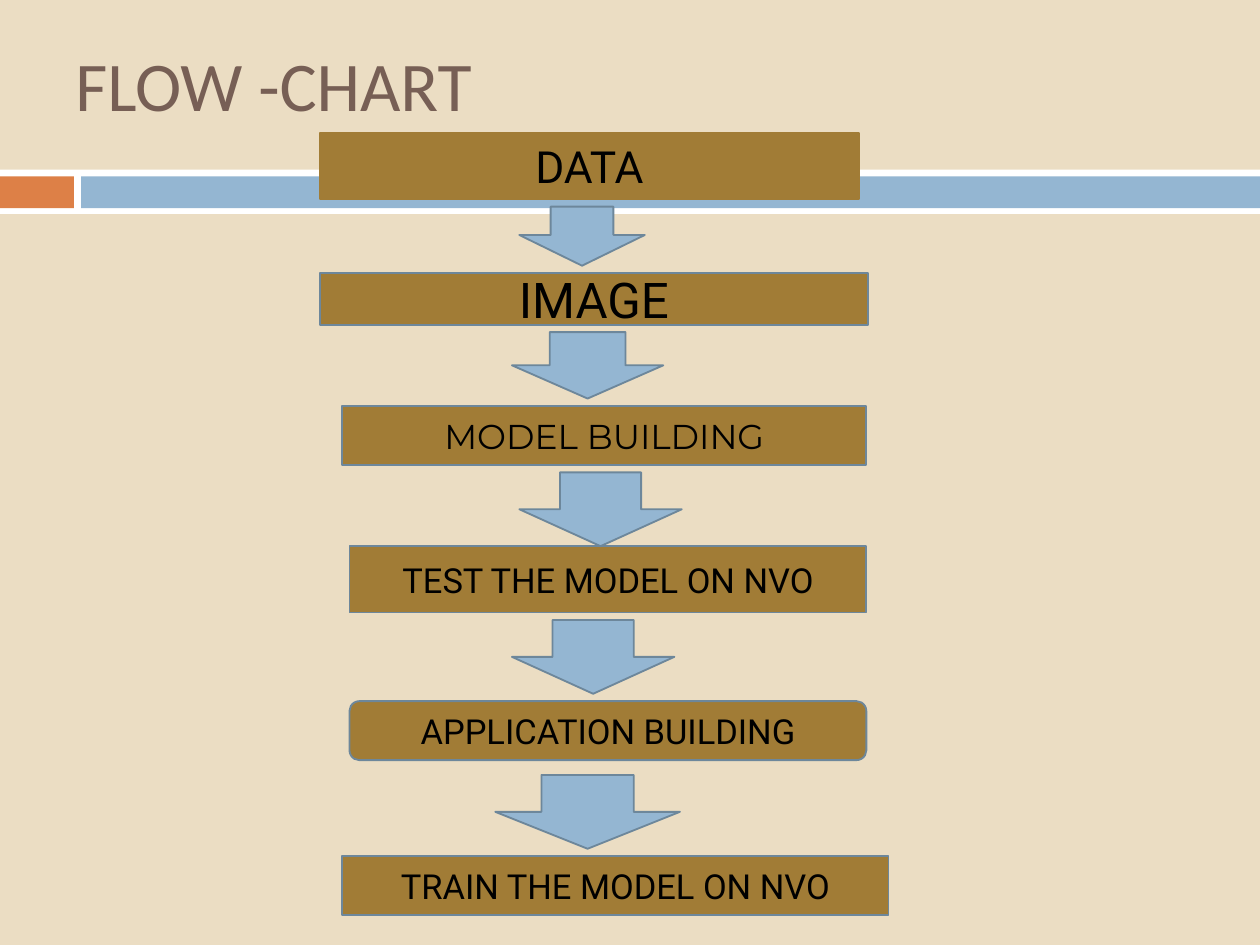
"""Build a one-page flow chart of six steps joined by block arrows."""
from dataclasses import dataclass

from pptx import Presentation
from pptx.dml.color import RGBColor
from pptx.enum.shapes import MSO_SHAPE
from pptx.enum.text import MSO_ANCHOR, PP_ALIGN
from pptx.util import Inches, Pt

RECTANGLE = MSO_SHAPE.RECTANGLE
ROUNDED = MSO_SHAPE.ROUNDED_RECTANGLE
DOWN_ARROW = MSO_SHAPE.DOWN_ARROW
MIDDLE = MSO_ANCHOR.MIDDLE
CENTER = PP_ALIGN.CENTER

SAND = RGBColor(0xEB, 0xDD, 0xC3)
WHITE = RGBColor(0xFF, 0xFF, 0xFF)
ORANGE = RGBColor(0xDD, 0x80, 0x47)
BLUE = RGBColor(0x94, 0xB6, 0xD2)
SLATE = RGBColor(0x6D, 0x87, 0x9B)
BRONZE = RGBColor(0xA1, 0x7C, 0x36)
BROWN = RGBColor(0x77, 0x5F, 0x55)
BLACK = RGBColor(0, 0, 0)

PAGE_WIDTH, PAGE_HEIGHT = 14.22, 10.67
CELLS_PER_INCH = 12
PAGE_COLUMNS = PAGE_WIDTH * CELLS_PER_INCH
CHART_OFFSET = 0.33


@dataclass(frozen=True)
class Area:
    column: float
    row: float
    columns: float
    rows: float


@dataclass(frozen=True)
class Band:
    area: Area
    color: RGBColor


@dataclass(frozen=True)
class Step:
    text: str
    area: Area
    size: int = 28
    font: str = "Roboto"
    outline: RGBColor = SLATE
    kind: MSO_SHAPE = RECTANGLE


@dataclass(frozen=True)
class Arrow:
    area: Area
    head: float = 0.5


TITLE_AREA = Area(4.2, 6.5, 82.2, 9.7)

BANDS = [
    Band(Area(0, 23, PAGE_COLUMNS, 6), WHITE),
    Band(Area(0, 23.9, 10, 4.3), ORANGE),
    Band(Area(11, 23.9, PAGE_COLUMNS - 11, 4.3), BLUE),
]

STEPS = [
    Step("DATA", Area(43, 18, 73, 9), 36, outline=BRONZE),
    Step("IMAGE", Area(43, 37, 74.2, 7), 40),
    Step("MODEL BUILDING", Area(46, 55, 71, 8), font="Montserrat"),
    Step("TEST THE MODEL ON NVO", Area(47, 74, 70, 9)),
    Step("APPLICATION BUILDING", Area(47, 95, 70, 8), kind=ROUNDED),
    Step("TRAIN THE MODEL ON NVO", Area(46, 116, 74, 8)),
]

ARROWS = [
    Arrow(Area(70, 28, 17, 8), 0.52),
    Arrow(Area(69, 45, 20.5, 9)),
    Arrow(Area(70, 64, 22, 10)),
    Arrow(Area(69, 84, 22, 10)),
    Arrow(Area(66.75, 105, 25, 10)),
]


def place(area: Area, offset: float = 0) -> list[int]:
    cells = (area.column + offset, area.row, area.columns, area.rows)
    return [Inches(cell / CELLS_PER_INCH) for cell in cells]


def add_block(page, kind: MSO_SHAPE, bounds: list[int], fill: RGBColor,
              outline: RGBColor | None = None):
    block = page.shapes.add_shape(kind, *bounds)
    block.shadow.inherit = False
    block.fill.solid()
    block.fill.fore_color.rgb = fill
    if outline is None:
        block.line.fill.background()
    else:
        block.line.color.rgb = outline
        block.line.width = Pt(1.5)
    return block


def write(frame, text: str, font: str, size: float, color: RGBColor) -> None:
    frame.word_wrap = True
    frame.vertical_anchor = MIDDLE
    para = frame.paragraphs[0]
    para.text = text
    para.font.name = font
    para.font.size = Pt(size)
    para.font.color.rgb = color


def add_title(page) -> None:
    frame = page.shapes.add_textbox(*place(TITLE_AREA)).text_frame
    frame.margin_left = Inches(0.5)
    write(frame, "FLOW -CHART", "Calibri", 56.7, BROWN)


def add_step(page, step: Step) -> None:
    bounds = place(step.area, CHART_OFFSET)
    block = add_block(page, step.kind, bounds, BRONZE, step.outline)
    write(block.text_frame, step.text, step.font, step.size, BLACK)
    block.text_frame.paragraphs[0].alignment = CENTER


def add_arrow(page, arrow: Arrow) -> None:
    bounds = place(arrow.area, CHART_OFFSET)
    block = add_block(page, DOWN_ARROW, bounds, BLUE, SLATE)
    block.adjustments[1] = arrow.head


def main() -> None:
    deck = Presentation()
    deck.slide_width = Inches(PAGE_WIDTH)
    deck.slide_height = Inches(PAGE_HEIGHT)
    page = deck.slides.add_slide(deck.slide_layouts[6])
    page.background.fill.solid()
    page.background.fill.fore_color.rgb = SAND
    for band in BANDS:
        add_block(page, RECTANGLE, place(band.area), band.color)
    add_title(page)
    for step in STEPS:
        add_step(page, step)
    for arrow in ARROWS:
        add_arrow(page, arrow)
    deck.save("out.pptx")


if __name__ == "__main__":
    main()
